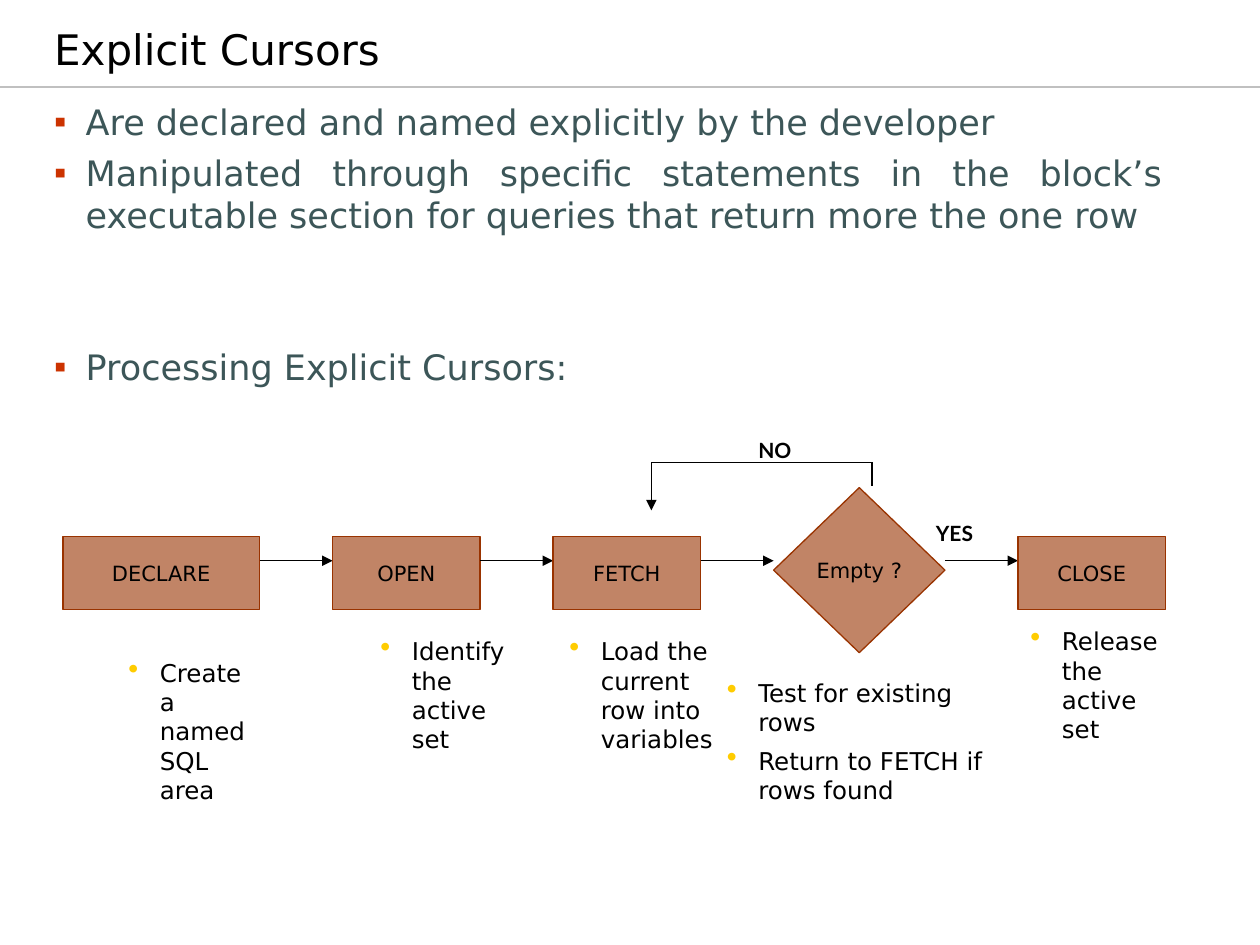
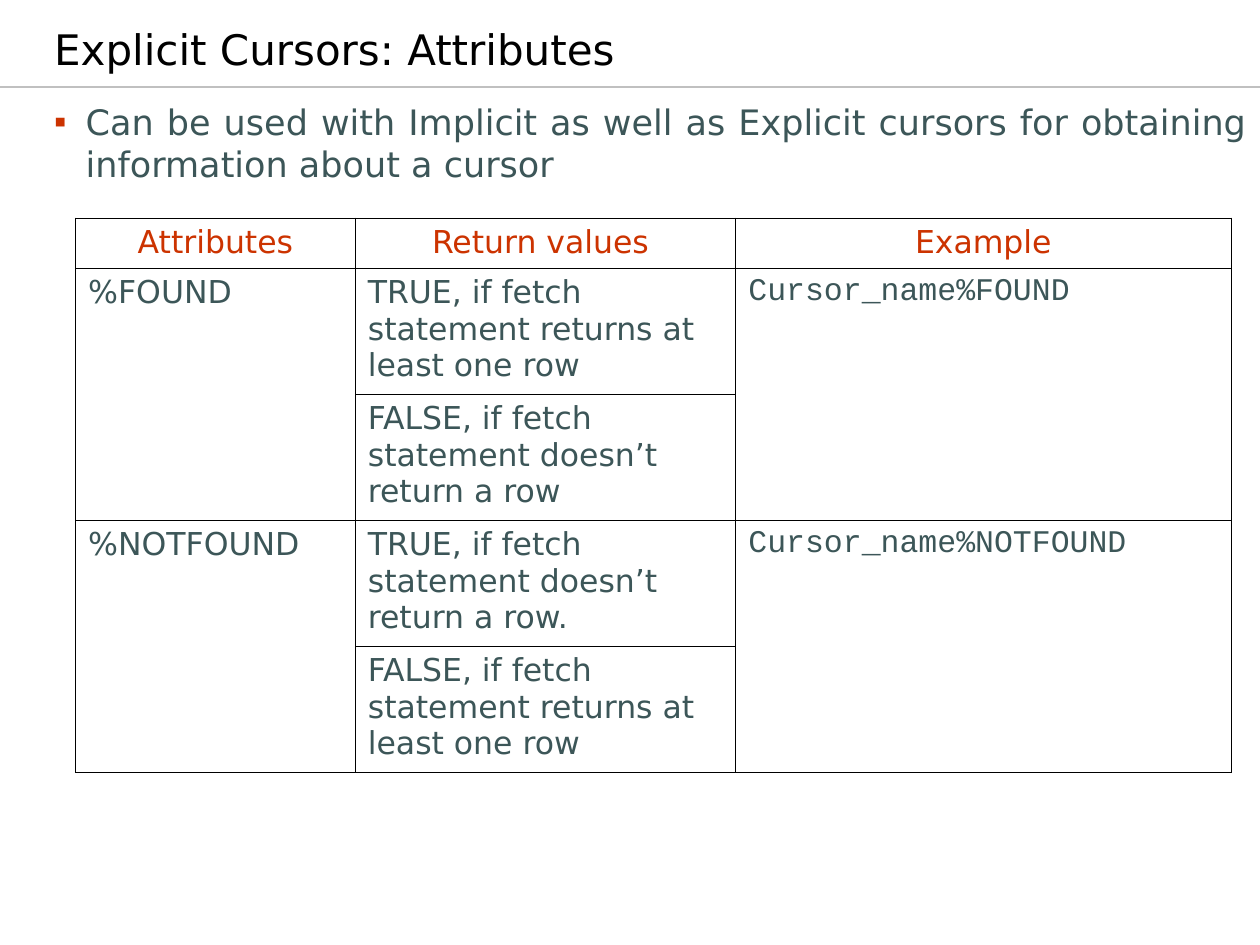
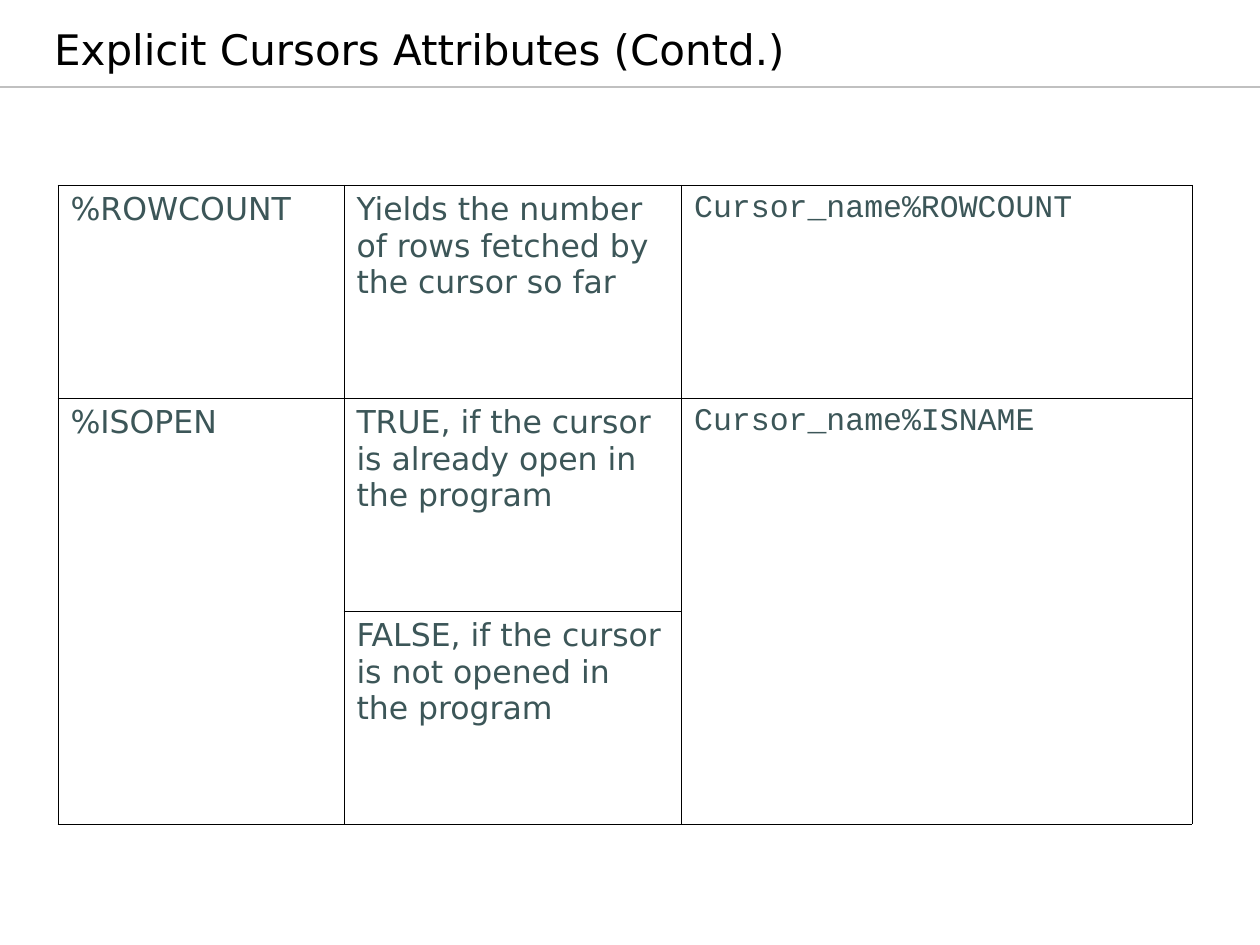
from lxml import etree
from pptx import Presentation
from pptx.dml.color import RGBColor
from pptx.enum import shapes, text
from pptx.oxml import ns
from pptx.util import Inches, Pt

COLORS = {"ink": "000000", "body": "3C5658", "accent": "CC3300", "rule": "C0C0C0",
          "node": "993300", "dot": "FFCC00"}
SANS, MONO, LABEL = "DejaVu Sans", "Courier New", "Lato"
LEFT, CENTER, JUSTIFY = text.PP_ALIGN.LEFT, text.PP_ALIGN.CENTER, text.PP_ALIGN.JUSTIFY

TITLE = {"name": SANS, "size": Pt(24), "bold": False, "color": "ink"}
BODY = {"name": SANS, "size": Pt(20), "color": "body"}
NODE = {"name": SANS, "size": Pt(12), "color": "ink"}
NOTE = {"name": SANS, "size": Pt(14), "color": "ink"}
BRANCH = {"name": LABEL, "size": Pt(12), "bold": True, "color": "ink"}
CELL = {"name": SANS, "size": Pt(18), "color": "body"}
HEADER = {**CELL, "color": "accent"}
CODE = {**CELL, "name": MONO}
SQUARE = {"char": "▪", "color": "accent", "size": 100000}
DOT = {"char": "•", "color": "dot", "size": 120000}


def write(frame, lines, style, align=LEFT, bullet=None, gaps=()):
    for number, line in enumerate(lines):
        para = frame.paragraphs[0] if number == 0 else frame.add_paragraph()
        para.alignment = align
        para.space_before = Pt(gaps[number - 1] if number else 0)
        if bullet:
            properties = para._p.get_or_add_pPr()
            properties.set("marL", str(Inches(0.25)))
            properties.set("indent", str(Inches(-0.25)))
            tint = etree.SubElement(properties, ns.qn("a:buClr"))
            etree.SubElement(tint, ns.qn("a:srgbClr"), val=COLORS[bullet["color"]])
            etree.SubElement(properties, ns.qn("a:buSzPct"), val=str(bullet["size"]))
            etree.SubElement(properties, ns.qn("a:buChar"), char=bullet["char"])
        span = para.add_run()
        span.text = line
        for name, value in style.items():
            if name == "color":
                span.font.color.rgb = RGBColor.from_string(COLORS[value])
            else:
                setattr(span.font, name, value)


def add_line(page, start, end, color="ink", arrow=False):
    line = page.shapes.add_connector(
        shapes.MSO_CONNECTOR.STRAIGHT, *[Inches(value) for value in (*start, *end)])
    line.line.width = Pt(0.75)
    line.line.color.rgb = RGBColor.from_string(COLORS[color])
    if arrow:
        etree.SubElement(line.line._get_or_add_ln(), ns.qn("a:tailEnd"), type="triangle")
    etree.SubElement(line._element.spPr, ns.qn("a:effectLst"))
    return line


deck = Presentation()
deck.slide_width, deck.slide_height = Inches(10), Inches(7.5)

contents = [
    ("Explicit Cursors", 9, [
        "Are declared and named explicitly by the developer",
        "Manipulated through specific statements in the block’s executable section "
        "for queries that return more the one row",
        "Processing Explicit Cursors:"]),
    ("Explicit Cursors: Attributes", 9.67, [
        "Can be used with Implicit as well as Explicit cursors for obtaining "
        "information about a cursor"]),
    ("Explicit Cursors Attributes (Contd.)", 0, []),
]
pages = []
for heading, body_width, points in contents:
    page = deck.slides.add_slide(deck.slide_layouts[1 if points else 5])
    pages.append(page)
    title = page.shapes.title
    title.left, title.top, title.width, title.height = [
        Inches(value) for value in (0.03, 0.17, 7.31, 0.47)]
    frame = title.text_frame
    frame.auto_size = text.MSO_AUTO_SIZE.NONE
    frame.vertical_anchor = text.MSO_ANCHOR.BOTTOM
    frame.margin_left = Inches(0.4)
    write(frame, [heading], TITLE)
    if points:
        body = page.placeholders[1]
        body.left, body.top, body.width, body.height = [
            Inches(value) for value in (0.33, 0.75, body_width, 6.17)]
        body.text_frame.auto_size = text.MSO_AUTO_SIZE.NONE
        write(body.text_frame, points, BODY, JUSTIFY, SQUARE, gaps=(5, 63))

flow_page, attribute_page, more_page = pages
divider = add_line(flow_page, (0, 0.69), (10, 0.69), "rule")
deck.slide_master.shapes._spTree.append(divider._element)

RECTANGLE = shapes.MSO_SHAPE.RECTANGLE
DECISION = shapes.MSO_SHAPE.FLOWCHART_DECISION
GAP, ARROW_Y, LOOP_Y = 0.58, 4.45, 3.67
steps = [
    ("DECLARE", RECTANGLE, 4.26, 1.56, 0.58),
    ("OPEN", RECTANGLE, 4.26, 1.17, 0.58),
    ("FETCH", RECTANGLE, 4.26, 1.17, 0.58),
    ("Empty ?", DECISION, 3.87, 1.36, 1.31),
    ("CLOSE", RECTANGLE, 4.26, 1.17, 0.58),
]
left = 0.5
for number, (label, kind, top, width, height) in enumerate(steps):
    if number:
        add_line(flow_page, (left - GAP, ARROW_Y), (left, ARROW_Y), arrow=True)
    node = flow_page.shapes.add_shape(
        kind, *[Inches(value) for value in (left, top, width, height)])
    node.shadow.inherit = False
    node.fill.solid()
    node.fill.fore_color.rgb = RGBColor.from_string(COLORS["node"])
    tint = node._element.spPr.find(".//" + ns.qn("a:srgbClr"))
    etree.SubElement(tint, ns.qn("a:alpha"), val="60000")
    node.line.color.rgb = RGBColor.from_string(COLORS["node"])
    node.line.width = Pt(0.75)
    frame = node.text_frame
    frame.vertical_anchor = text.MSO_ANCHOR.MIDDLE
    if kind == DECISION:
        frame.margin_left = frame.margin_right = 0
    write(frame, [label], NODE, CENTER)
    left += width + GAP

add_line(flow_page, (5.17, LOOP_Y), (5.17, 4.05), arrow=True)
add_line(flow_page, (5.17, LOOP_Y), (6.92, LOOP_Y))
add_line(flow_page, (6.92, LOOP_Y), (6.92, 3.86))

captions = [
    (["NO"], (5.92, 3.42, 0.67, 0.3), BRANCH, None),
    (["YES"], (7.33, 4.08, 0.67, 0.3), BRANCH, None),
    (["Create a named SQL area"], (0.92, 5.17, 1.27, 1.25), NOTE, DOT),
    (["Identify the active set"], (2.92, 5, 1.33, 1.08), NOTE, DOT),
    (["Load the current row into variables"], (4.42, 5, 1.42, 1.08), NOTE, DOT),
    (["Test for existing rows", "Return to FETCH if rows found"],
     (5.67, 5.33, 2.23, 1.22), NOTE, DOT),
    (["Release the active set"], (8.08, 4.92, 1.25, 1.08), NOTE, DOT),
]
for lines, place, style, bullet in captions:
    box = flow_page.shapes.add_textbox(*[Inches(value) for value in place])
    box.text_frame.word_wrap = True
    write(box.text_frame, lines, style, LEFT, bullet, gaps=(5.2,))

tables = [
    (attribute_page, (0.6, 1.73), (2.22, 3.02, 3.93), (0.4, 1, 1, 1, 1), True, (1, 3), [
        ("Attributes", "Return values ", "Example"),
        ("%FOUND", "TRUE, if fetch statement returns at least one row", "Cursor_name%FOUND"),
        ("", "FALSE, if fetch statement doesn’t return a row", ""),
        ("%NOTFOUND", "TRUE, if fetch statement doesn’t return a row.",
         "Cursor_name%NOTFOUND"),
        ("", "FALSE, if fetch statement returns at least one row", "")]),
    (more_page, (0.46, 1.47), (2.27, 2.68, 4.05), (1.69,) * 3, False, (1,), [
        ("%ROWCOUNT", "Yields the number of rows fetched by the cursor so far",
         "Cursor_name%ROWCOUNT"),
        ("%ISOPEN", "TRUE, if the cursor is already open in the program",
         "Cursor_name%ISNAME"),
        ("", "FALSE, if the cursor is not opened in the program", "")]),
]
for page, corner, widths, heights, has_header, merged_rows, rows in tables:
    size = (sum(widths), sum(heights))
    grid = page.shapes.add_table(
        len(rows), len(widths), *[Inches(value) for value in (*corner, *size)]).table
    grid.first_row = has_header
    grid.horz_banding = False
    for column, width in zip(grid.columns, widths):
        column.width = Inches(width)
    for row, height in zip(grid.rows, heights):
        row.height = Inches(height)
    for row in merged_rows:
        for column in (0, 2):
            grid.cell(row, column).merge(grid.cell(row + 1, column))
    for row, values in enumerate(rows):
        for column, value in enumerate(values):
            cell = grid.cell(row, column)
            for side in ("lnL", "lnR", "lnT", "lnB"):
                border = etree.SubElement(
                    cell._tc.get_or_add_tcPr(), ns.qn("a:" + side), w=str(Pt(0.34)))
                paint = etree.SubElement(border, ns.qn("a:solidFill"))
                etree.SubElement(paint, ns.qn("a:srgbClr"), val=COLORS["ink"])
            cell.fill.background()
            if value:
                is_header = has_header and row == 0
                style = HEADER if is_header else CODE if column == 2 else CELL
                write(cell.text_frame, [value], style, CENTER if is_header else LEFT)

deck.save("out.pptx")
